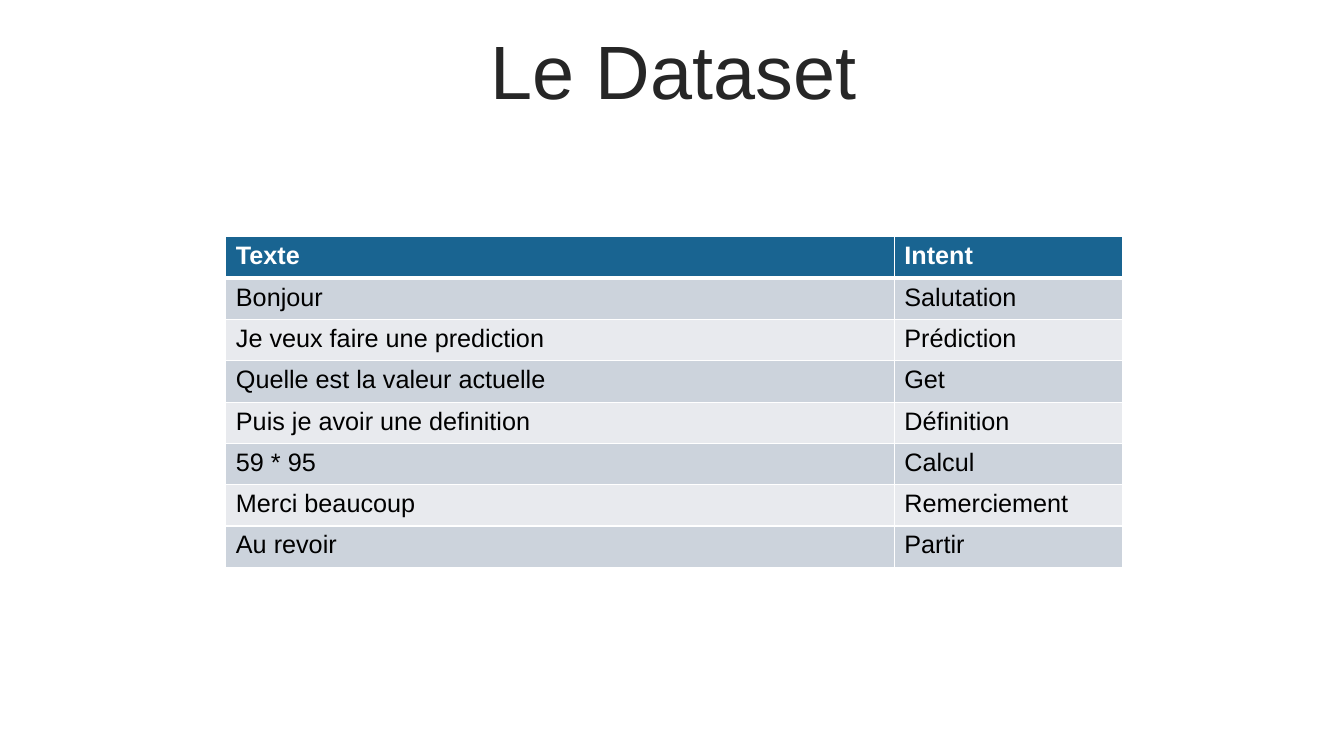
from lxml.etree import SubElement
from pptx import Presentation
from pptx.dml.color import RGBColor
from pptx.enum.text import MSO_ANCHOR, PP_ALIGN
from pptx.oxml.ns import qn
from pptx.util import Inches, Pt

WIDE, HIGH = Inches(13.33), Inches(7.5)
WHITE, BLACK, BLUE = "FFFFFF", "000000", "196491"
BANDS = ["CCD3DC", "E8EAEE"]
COLS = [6.63, 2.26]
ROW = 0.41
ROWS = [
    ("Texte", "Intent"),
    ("Bonjour", "Salutation"),
    ("Je veux faire une prediction", "Prédiction"),
    ("Quelle est la valeur actuelle", "Get"),
    ("Puis je avoir une definition", "Définition"),
    ("59 * 95", "Calcul"),
    ("Merci beaucoup", "Remerciement"),
    ("Au revoir", "Partir"),
]


def paint(color, tint):
    color.rgb = RGBColor.from_string(tint)


def style(font, tint, **form):
    for key, value in {"name": "Arial", **form}.items():
        setattr(font, key, value)
    paint(font.color, tint)


def edge(cell, side, width):
    line = SubElement(cell._tc.get_or_add_tcPr(), qn(f"a:ln{side}"),
                      w=str(Pt(width)))
    fill = SubElement(line, qn("a:solidFill"))
    SubElement(fill, qn("a:srgbClr"), val=WHITE)


def add_title(slide, text):
    title = slide.shapes.title
    place = {"left": Inches(0.35), "top": Inches(0.35),
             "width": int(WIDE * 0.95), "height": Inches(0.79)}
    for key, value in place.items():
        setattr(title, key, value)
    frame = title.text_frame
    frame.text = text
    frame.word_wrap = True
    frame.vertical_anchor = MSO_ANCHOR.MIDDLE
    para = frame.paragraphs[0]
    para.alignment = PP_ALIGN.CENTER
    para.line_spacing = 0.9
    style(para.runs[0].font, "262626", size=Pt(54))


def fill_cell(cell, text, row):
    head = row == 0
    # Borders come before the fill, with a thick rule under the header
    widths = {"L": 1, "R": 1, "T": 3 if row == 1 else 1, "B": 3 if head else 1}
    for side, width in widths.items():
        edge(cell, side, width)
    cell.fill.solid()
    paint(cell.fill.fore_color, BLUE if head else BANDS[(row - 1) % 2])
    cell.text = text
    style(cell.text_frame.paragraphs[0].runs[0].font,
          WHITE if head else BLACK, size=Pt(18), bold=head)


def add_grid(slide):
    frame = slide.shapes.add_table(
        len(ROWS), len(COLS), Inches(2.24), Inches(2.35),
        Inches(sum(COLS)), Inches(ROW * len(ROWS)))
    table = frame.table
    for col, width in zip(table.columns, COLS):
        col.width = Inches(width)
    for row, texts in enumerate(ROWS):
        table.rows[row].height = Inches(ROW)
        for col, text in enumerate(texts):
            fill_cell(table.cell(row, col), text, row)


def main():
    deck = Presentation()
    deck.slide_width, deck.slide_height = WIDE, HIGH
    # Title-only layout
    slide = deck.slides.add_slide(deck.slide_layouts[5])
    add_title(slide, "Le Dataset")
    add_grid(slide)
    deck.save("out.pptx")


if __name__ == "__main__":
    main()
